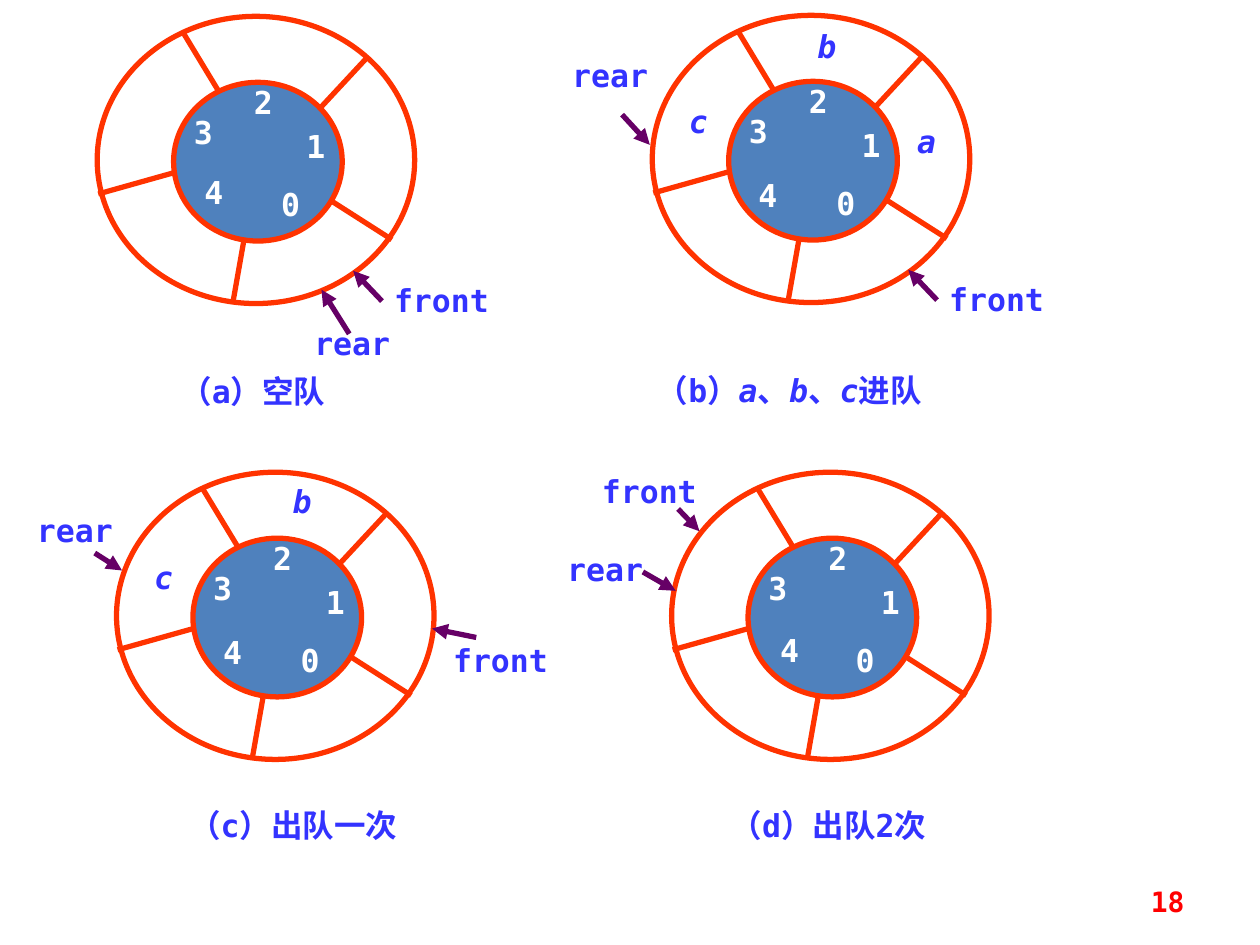
from dataclasses import dataclass

from pptx import Presentation
from pptx.dml.color import RGBColor as Rgb
from pptx.enum.shapes import MSO_CONNECTOR as Link, MSO_SHAPE as Form
from pptx.enum.text import MSO_ANCHOR as Anchor, MSO_AUTO_SIZE as Fit, PP_ALIGN as Align
from pptx.oxml import parse_xml
from pptx.oxml.ns import nsdecls
from pptx.util import Cm, Pt


@dataclass(frozen=True)
class Theme:
    font: str = "DejaVu Sans Mono"
    body: int = 18
    small: int = 16
    width: int = 3
    ring: Rgb = Rgb(0xFF, 0x33, 0x00)
    core: Rgb = Rgb(0x4F, 0x81, 0xBD)
    arrow: Rgb = Rgb(0x66, 0x00, 0x66)
    label: Rgb = Rgb(0x33, 0x33, 0xFF)
    digit: Rgb = Rgb(0xFF, 0xFF, 0xFF)
    page: Rgb = Rgb(0xFF, 0x00, 0x00)


THEME = Theme()
CELL, WORD, LINE = 0.8, 2.0, 0.76
SPOKES = (
    (4.75, 3.74, 5.94, 4.5),
    (4.52, 1.82, 5.44, 0.83),
    (1.74, 0.34, 2.46, 1.53),
    (2.95, 4.55, 2.74, 5.74),
    (0.02, 3.58, 1.55, 3.15),
)
DIGITS = (("0", 3.5, 3.41), ("1", 4.01, 2.23), ("2", 2.95, 1.34), ("3", 1.74, 1.95))


@dataclass(frozen=True)
class Queue:
    left: float
    top: float
    four: tuple
    labels: tuple
    arrows: tuple
    title: tuple
    mid: float
    base: float
    span: float = 8.81
    items: tuple = ()


QUEUES = (
    Queue(
        1.96, 0.33, (1.95, 3.15),
        (("front", 5.94, 5.33), ("rear", 4.14, 6.2)),
        ((5.74, 5.74, 5.16, 5.13), (5.08, 6.4, 4.52, 5.51)),
        ("（a）空队",), 3.14, 7.04, span=4.8,
    ),
    Queue(
        13.15, 0.31, (1.93, 3.23),
        (("front", 5.94, 5.33), ("rear", -1.85, 0.81)),
        ((5.74, 5.74, 5.16, 5.13), (-0.61, 2.0, -0.05, 2.61)),
        ("（b）", "a", "、", "b", "、", "c", "进队"), 2.76, 7.05,
        items=(("a", 5.13, 2.15), ("b", 3.12, 0.24), ("c", 0.53, 1.75)),
    ),
    Queue(
        2.35, 9.52, (1.94, 3.25),
        (("front", 6.74, 3.4), ("rear", -1.84, 0.79)),
        ((7.25, 3.33, 6.36, 3.15), (-0.44, 1.63, 0.11, 1.98)),
        ("（c）出队一次",), 3.56, 6.6,
        items=(("b", 3.34, 0.2), ("c", 0.55, 1.73)),
    ),
    Queue(
        13.54, 9.52, (1.98, 3.2),
        (("front", -1.45, 0), ("rear", -2.34, 1.57)),
        ((0.13, 0.74, 0.56, 1.19), (-0.58, 2.01, 0.08, 2.39)),
        ("（d）出队2次",), 3.16, 6.6,
    ),
)


def style(run, color, size=THEME.body, slant=False):
    font = run.font
    font.name, font.size, font.bold = THEME.font, Pt(size), True
    font.italic = slant
    font.color.rgb = color


def add_box(shapes, x, y, wide, high, pad=True):
    box = shapes.add_textbox(Cm(x), Cm(y), Cm(wide), Cm(high))
    frame = box.text_frame
    frame.word_wrap = True
    if not pad:
        frame.margin_left = frame.margin_right = 0
        frame.margin_top = frame.margin_bottom = 0
    return frame


def add_word(shapes, text, x, y, color, wide=CELL, slant=False):
    frame = add_box(shapes, x, y, wide, LINE, pad=False)
    frame.auto_size = Fit.SHAPE_TO_FIT_TEXT
    frame.text = text
    para = frame.paragraphs[0]
    para.alignment = Align.CENTER
    style(para.runs[0], color, slant=slant)


def add_title(shapes, parts, x, y, wide):
    frame = add_box(shapes, x, y, wide, 1.02)
    frame.auto_size = Fit.SHAPE_TO_FIT_TEXT
    para = frame.paragraphs[0]
    para.alignment = Align.CENTER
    for spot, part in enumerate(parts):
        run = para.add_run()
        run.text = part
        style(run, THEME.label, slant=spot % 2 == 1)


def add_oval(shapes, x, y, wide, high, fill=None):
    oval = shapes.add_shape(Form.OVAL, Cm(x), Cm(y), Cm(wide), Cm(high))
    oval.shadow.inherit = False
    if fill is None:
        oval.fill.background()
    else:
        oval.fill.solid()
        oval.fill.fore_color.rgb = fill
    oval.line.color.rgb = THEME.ring
    oval.line.width = Pt(THEME.width)


def add_line(shapes, x, y, ends, color, head=False):
    x1, y1, x2, y2 = ends
    line = shapes.add_connector(
        Link.STRAIGHT, Cm(x + x1), Cm(y + y1), Cm(x + x2), Cm(y + y2)
    )
    line.line.color.rgb = color
    line.line.width = Pt(THEME.width)
    if head:
        tip = parse_xml(f'<a:tailEnd {nsdecls("a")} type="triangle"/>')
        line.line._get_or_add_ln().append(tip)
    line._element.spPr.append(parse_xml(f'<a:effectLst {nsdecls("a")}/>'))


def add_queue(slide, queue):
    shapes = slide.shapes.add_group_shape().shapes
    x, y = queue.left, queue.top
    add_oval(shapes, x + 1.54, y + 1.33, 3.4, 3.2, THEME.core)
    add_oval(shapes, x, y, 6.4, 5.79)
    for ends in SPOKES:
        add_line(shapes, x, y, ends, THEME.ring)
    for text, dx, dy in DIGITS + (("4", *queue.four),):
        add_word(shapes, text, x + dx, y + dy, THEME.digit)
    for text, dx, dy in queue.items:
        add_word(shapes, text, x + dx, y + dy, THEME.label, slant=True)
    for text, dx, dy in queue.labels:
        add_word(shapes, text, x + dx, y + dy, THEME.label, WORD)
    for ends in queue.arrows:
        add_line(shapes, x, y, ends, THEME.arrow, head=True)
    start = x + queue.mid - queue.span / 2
    add_title(shapes, queue.title, start, y + queue.base, queue.span)


def add_page(slide, text):
    frame = add_box(slide.shapes, 18.21, 17.65, 5.92, 1.02)
    frame.vertical_anchor = Anchor.MIDDLE
    frame.text = text
    para = frame.paragraphs[0]
    para.alignment = Align.RIGHT
    style(para.runs[0], THEME.page, THEME.small)


def main():
    deck = Presentation()
    deck.slide_width, deck.slide_height = Cm(25.4), Cm(19.05)
    slide = deck.slides.add_slide(deck.slide_layouts[6])
    for queue in QUEUES:
        add_queue(slide, queue)
    add_page(slide, "18")
    deck.save("out.pptx")


if __name__ == "__main__":
    main()
